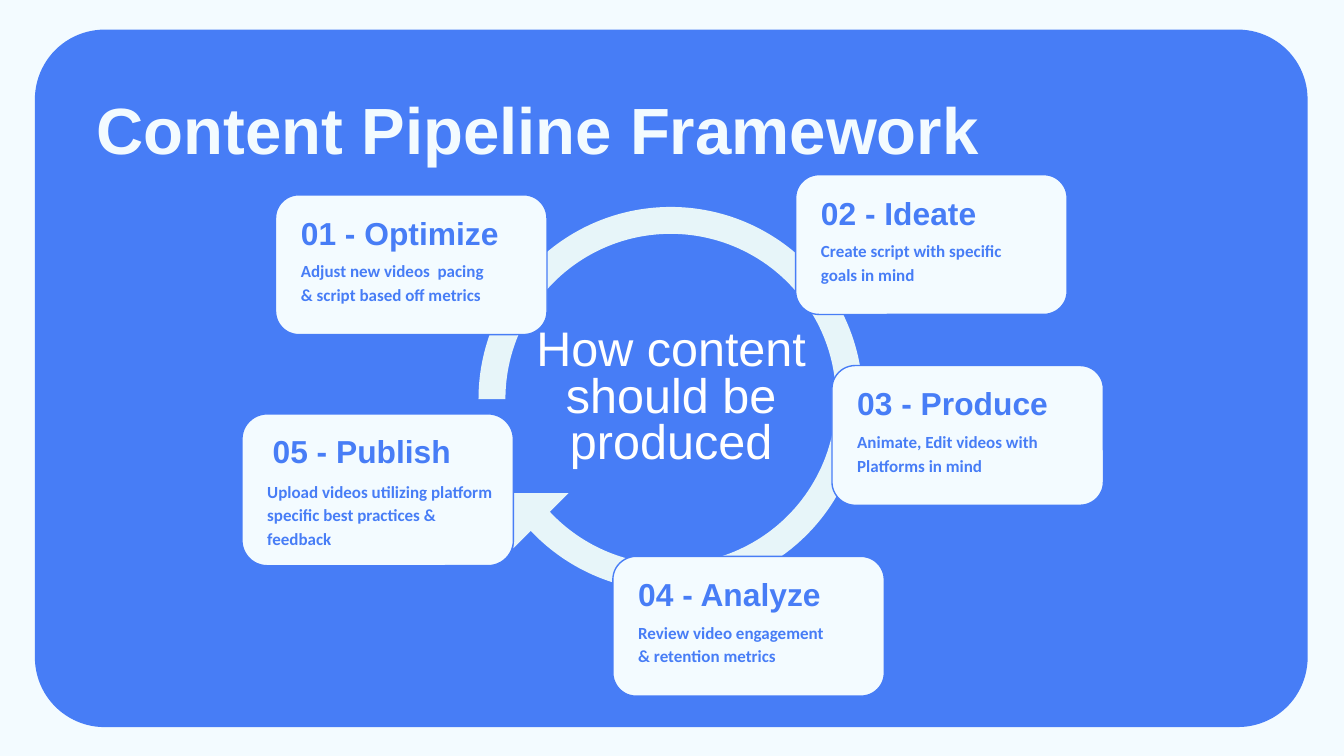
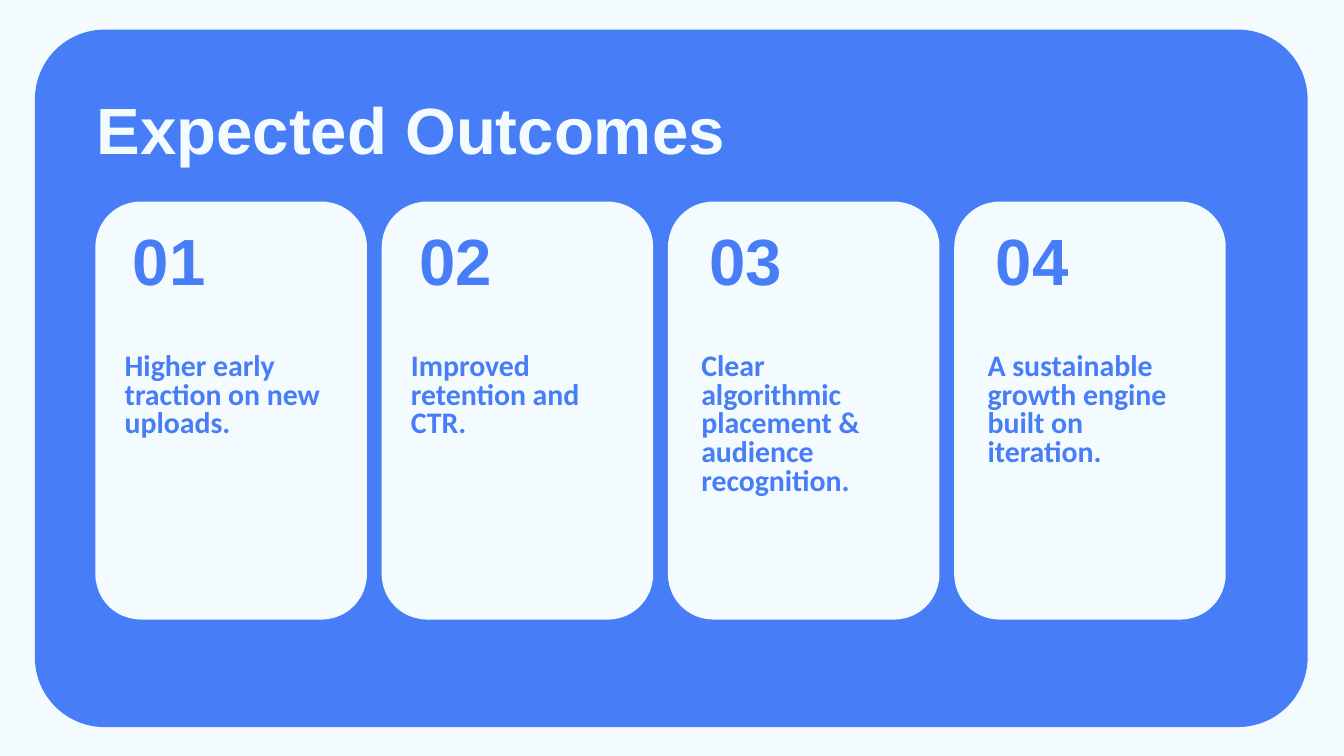
from pptx import Presentation
from pptx.dml.color import RGBColor
from pptx.enum.shapes import MSO_SHAPE
from pptx.enum.text import MSO_ANCHOR, MSO_AUTO_SIZE, PP_ALIGN
from pptx.util import Emu, Pt

PALE = RGBColor(0xF3, 0xFB, 0xFF)
BLUE = RGBColor(0x47, 0x7D, 0xF6)
MIST = RGBColor(0xE7, 0xF5, 0xF9)
WHITE = RGBColor(0xFF, 0xFF, 0xFF)
HEAD = "Arial"
BODY = "Calibri"
SCALE = 9144
WIDE = 1000


def px(size):
    return Emu(size * SCALE)


def box(*sizes):
    return [px(size) for size in sizes]


def write(shape, text, size, font=HEAD, color=BLUE, bold=True, lead=None,
          align=PP_ALIGN.LEFT, anchor=MSO_ANCHOR.TOP, pad=5, grow=False):
    frame = shape.text_frame
    frame.word_wrap = True
    frame.auto_size = MSO_AUTO_SIZE.SHAPE_TO_FIT_TEXT if grow else MSO_AUTO_SIZE.NONE
    frame.vertical_anchor = anchor
    frame.margin_left = frame.margin_right = px(10)
    frame.margin_top = frame.margin_bottom = px(pad)
    para = frame.paragraphs[0]
    para.alignment = align
    if lead:
        para.line_spacing = lead
    run = para.add_run()
    run.text = text
    run.font.name = font
    run.font.size = Pt(size)
    run.font.bold = bold
    run.font.color.rgb = color


class Deck:
    def __init__(self):
        self.file = Presentation()
        self.file.slide_width = px(WIDE)
        self.file.slide_height = px(WIDE) * 9 // 16
        self.base = self.file.slide_layouts.get_by_name("Title Only")
        self.items = None
        self.slide = None
        self.framed = False

    def page(self, title):
        self.slide = self.file.slides.add_slide(self.base)
        self.items = self.slide.shapes
        if not self.framed:
            self.frame()
        head = self.items.title
        head.left, head.top, head.width, head.height = box(62, 61, 707, 69)
        write(head, title, 35, color=PALE, grow=True)

    def frame(self):
        fill = self.base.background.fill
        fill.solid()
        fill.fore_color.rgb = PALE
        panel = self.shape(MSO_SHAPE.ROUNDED_RECTANGLE, (26, 22, 947, 519), BLUE, [0.1])
        self.base.shapes.element.insert(2, panel.element)
        self.framed = True

    def group(self):
        self.items = self.slide.shapes.add_group_shape().shapes

    def leave(self):
        self.items = self.slide.shapes

    def shape(self, kind, place, fill, bends=(), turn=0, edge=None):
        item = self.items.add_shape(kind, *box(*place))
        item.shadow.inherit = False
        item.rotation = turn
        for spot, bend in enumerate(bends):
            item.adjustments[spot] = bend
        item.fill.solid()
        item.fill.fore_color.rgb = fill
        if edge:
            item.line.color.rgb = edge
            item.line.width = Pt(0.75)
        else:
            item.line.fill.background()
        return item

    def card(self, place, edge=None):
        self.shape(MSO_SHAPE.ROUNDED_RECTANGLE, place, PALE, [0.167], edge=edge)

    def text(self, place, text, size, **style):
        write(self.items.add_textbox(*box(*place)), text, size, **style)

    def step(self, left, top, title, note, tall=104, head=(9, 9), body=(9, 37, 164, 53)):
        self.group()
        self.card((left, top, 202, tall), edge=BLUE)
        self.text((left + head[0], top + head[1], 185, 39), title, 17, grow=True)
        self.text((left + body[0], top + body[1], *body[2:]), note, 9.1,
                  font=BODY, lead=1.15, pad=10)
        self.leave()


def draw_cycle(deck):
    deck.page("Content Pipeline Framework")
    deck.group()
    deck.shape(MSO_SHAPE.BLOCK_ARC, (356, 154, 286, 286), MIST, [54, 30.13, 0.07], turn=90)
    deck.shape(MSO_SHAPE.RIGHT_TRIANGLE, (382, 367, 41, 41), MIST, turn=90)
    deck.leave()
    deck.text((375, 248, 249, 98), "How content should be produced", 26, color=WHITE,
              bold=False, lead=0.8, align=PP_ALIGN.CENTER, anchor=MSO_ANCHOR.MIDDLE, pad=10)
    steps = [
        (205, 145, "01 - Optimize", "Adjust new videos  pacing & script based off metrics"),
        (592, 130, "02 - Ideate", "Create script with specific goals in mind"),
        (619, 272, "03 - Produce", "Animate, Edit videos with Platforms in mind"),
        (456, 414, "04 - Analyze", "Review video engagement & retention metrics"),
    ]
    for step in steps:
        deck.step(*step)
    deck.step(180, 308, "05 - Publish",
              "Upload videos utilizing platform specific best practices & feedback",
              tall=113, head=(13, 8), body=(9, 38, 193, 70))


def draw_goals(deck):
    deck.page("Expected Outcomes")
    goals = [
        ("Higher early traction on new uploads.", 85),
        ("Improved retention and CTR.", 85),
        ("Clear algorithmic placement & audience recognition.", 128),
        ("A sustainable growth engine built on iteration.", 128),
    ]
    for spot, (goal, tall) in enumerate(goals):
        left = 71 + 213 * spot
        inset = 12 + 3 * (spot // 2)
        deck.card((left, 150, 202, 311))
        deck.text((left + inset, 253, 174, tall), goal, 16, font=BODY, lead=0.8,
                  pad=10, grow=True)
        deck.text((left + inset + 6, 159, 228, 69), f"{spot + 1:02}", 35, grow=True)


def main():
    deck = Deck()
    draw_cycle(deck)
    draw_goals(deck)
    deck.file.save("out.pptx")


if __name__ == "__main__":
    main()
